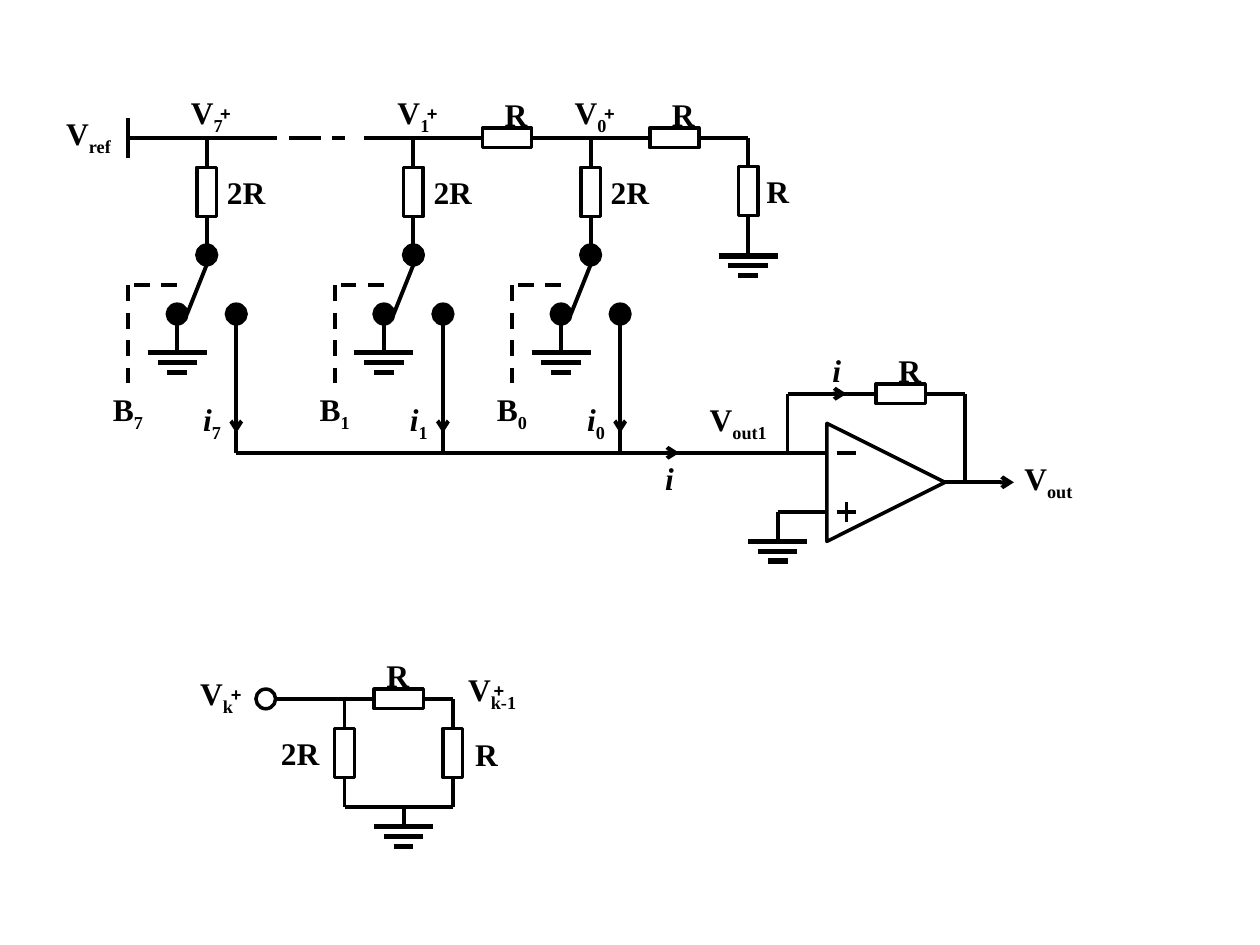
from pptx import Presentation
from pptx.dml.color import RGBColor
from pptx.enum.dml import MSO_LINE
from pptx.enum.shapes import MSO_CONNECTOR, MSO_SHAPE
from pptx.enum.text import MSO_AUTO_SIZE, PP_ALIGN
from pptx.oxml.ns import qn
from pptx.util import Pt
from lxml import etree

STRAIGHT = MSO_CONNECTOR.STRAIGHT
RECTANGLE, OVAL, TRIANGLE = MSO_SHAPE.RECTANGLE, MSO_SHAPE.OVAL, MSO_SHAPE.ISOSCELES_TRIANGLE
DASH, LONG_DASH = MSO_LINE.DASH, MSO_LINE.LONG_DASH

THEME = {
    "ink": RGBColor(0, 0, 0), "paper": RGBColor(255, 255, 255),
    "serif": "Times New Roman", "sans": "Arial", "size": Pt(18),
    "wire": Pt(2.25), "bar": Pt(3), "outline": Pt(2),
}

# All places below are in grid steps; the slide is 128 steps wide.
GRID = 720 / 128
TEXT_HEIGHT = 5.12
PLUS_HEIGHT = 3.84

# Ladder branches: (x, bit)
BRANCHES = [(21, "7"), (42, "1"), (60, "0")]

# Wires: (x1, y1, x2, y2)
WIRES = [
    (13, 14, 25, 14), (37, 14, 76, 14), (13, 12, 13, 16), (76, 14, 76, 26),   # reference rail
    (24, 46, 88, 46), (95, 49, 98, 49),                                       # summing line, output
    (79, 52, 86, 52), (79, 52, 79, 55),                                       # grounded input
    (80, 46, 80, 40), (80, 40, 98, 40), (98, 40, 98, 49),                     # feedback
    (28, 71, 46, 71), (46, 71, 46, 82), (35, 71, 35, 82),                     # equivalent circuit
    (35, 82, 46, 82), (41, 82, 41, 84),
]
DASHED_RAIL = (25, 14, 35, 14)
ARROWS = [(95, 49, 103, 49), (65, 46, 69, 46), (82, 40, 86, 40)]
SIGNS = [(85, 46, 87, 46), (85, 52, 87, 52), (86, 51, 86, 53)]
GROUNDS = [(76, 26), (79, 55), (41, 84)]

# Resistors: centre (x, y), lying down or not
RESISTORS = [
    (51.5, 14, True), (68.5, 14, True), (76, 19.4, False), (91.5, 40, True),
    (40.5, 71, True), (46, 76.5, False), (35, 76.5, False),
]

# Labels: (left, top, width, main text, subscript)
LABELS = [
    (50, 9, 4, "R", ""), (67, 9, 4, "R", ""), (75, 16.8, 8, "R", ""), (90, 35, 4, "R", ""),
    (3, 11, 12, "V", "ref"), (69, 40, 12, "V", "out1"), (102, 46, 9, "V", "out"),
    (65, 46, 6, "i", ""), (82, 35, 6, "i", ""),
    (47, 74, 4, "R", ""), (26, 73.9, 9, "2R", ""), (38, 66, 4, "R", ""),
    (16, 67.85, 12, "V", "k"), (44, 67.45, 12, "V", "k-1"),
]
PLUSES = [(18, 68.35, 12), (44.7, 68, 12)]   # left, top, width


def steps(*values):
    return [Pt(value * GRID) for value in values]


def add_line(shapes, ends, width=THEME["wire"], dash=None, arrow=False):
    connector = shapes.add_connector(STRAIGHT, *steps(*ends))
    line = connector.line
    line.color.rgb = THEME["ink"]
    line.width = width
    if dash:
        line.dash_style = dash
    properties = connector._element.spPr
    if arrow:
        etree.SubElement(properties.find(qn("a:ln")), qn("a:tailEnd"), type="arrow")
    etree.SubElement(properties, qn("a:effectLst"))


def add_part(shapes, kind, x, y, width, height, fill="paper", rotation=0):
    """Add an outlined shape centred on x, y."""
    shape = shapes.add_shape(kind, *steps(x - width / 2, y - height / 2, width, height))
    shape.rotation = rotation
    shape.shadow.inherit = False
    shape.fill.solid()
    shape.fill.fore_color.rgb = THEME[fill]
    shape.line.color.rgb = THEME["ink"]
    shape.line.width = THEME["outline"]


def add_resistor(shapes, x, y, lying=False):
    add_part(shapes, RECTANGLE, x, y, 2, 5, rotation=90 if lying else 0)


def add_ground(shapes, x, y):
    for row, half in enumerate((3, 2, 1)):
        add_line(shapes, (x - half, y + row, x + half, y + row), THEME["bar"])


def add_text(shapes, left, top, width, height, runs, font):
    """Add a centred label; runs are (text, baseline shift, italic)."""
    box = shapes.add_textbox(*steps(left, top, width, height))
    frame = box.text_frame
    frame.word_wrap = True
    frame.auto_size = MSO_AUTO_SIZE.SHAPE_TO_FIT_TEXT
    paragraph = frame.paragraphs[0]
    paragraph.alignment = PP_ALIGN.CENTER
    for text, baseline, italic in runs:
        run = paragraph.add_run()
        run.text = text
        run.font.name = THEME[font]
        run.font.size = THEME["size"]
        run.font.bold = True
        run.font.italic = italic
        run.font.color.rgb = THEME["ink"]
        if baseline:
            run._r.get_or_add_rPr().set("baseline", str(baseline * 1000))


def add_label(shapes, left, top, width, text, subscript=""):
    runs = [(text, 0, text == "i")]
    if subscript:
        runs.append((subscript, -25, False))
    add_text(shapes, left, top, width, TEXT_HEIGHT, runs, "serif")


def add_plus(shapes, left, top, width):
    add_text(shapes, left, top, width, PLUS_HEIGHT, [("+", 30, False)], "sans")


def add_branch(slide, x, bit):
    shapes = slide.shapes.add_group_shape().shapes
    # Resistor
    add_line(shapes, (x, 14, x, 25))
    add_resistor(shapes, x, 19.5)
    add_label(shapes, x, 17, 8, "2R")
    # Switch
    add_line(shapes, (x + 3, 31.9, x + 3, 46))
    for dot_x, dot_y in ((x, 25.9), (x + 3, 31.9), (x - 3, 31.9)):
        add_part(shapes, OVAL, dot_x, dot_y, 2, 2, "ink")
    add_line(shapes, (x, 26.9, x - 2, 31.9))
    add_line(shapes, (x - 3, 32.9, x - 3, 35.85))
    add_ground(shapes, x - 3, 35.85)
    # Control bit
    add_line(shapes, (x - 3, 29, x - 8, 29), dash=DASH)
    add_line(shapes, (x - 8, 29, x - 8, 40), dash=DASH)
    add_label(shapes, x - 14, 39, 12, "B", bit)
    # Node voltage and branch current
    add_label(slide.shapes, x - 6, 8.85, 12, "V", bit)
    add_plus(slide.shapes, x - 4.1, 9.35, 12)
    add_line(slide.shapes, (x + 3, 40, x + 3, 44), arrow=True)
    add_label(slide.shapes, x - 2.45, 40, 6, "i", bit)


def main():
    presentation = Presentation()
    presentation.slide_width, presentation.slide_height = Pt(720), Pt(540)
    slide = presentation.slides.add_slide(presentation.slide_layouts[6])
    shapes = slide.shapes

    # Wiring
    for ends in WIRES:
        add_line(shapes, ends)
    add_line(shapes, DASHED_RAIL, dash=LONG_DASH)
    for ends in ARROWS:
        add_line(shapes, ends, arrow=True)
    for x, y in GROUNDS:
        add_ground(shapes, x, y)

    # Ladder
    for x, bit in BRANCHES:
        add_branch(slide, x, bit)

    # Amplifier, resistors and input terminal
    add_part(shapes, TRIANGLE, 90, 49, 12, 12, rotation=90)
    for ends in SIGNS:
        add_line(shapes, ends)
    for x, y, lying in RESISTORS:
        add_resistor(shapes, x, y, lying)
    add_part(shapes, OVAL, 27, 71, 2, 2)

    # Labels
    for label in LABELS:
        add_label(shapes, *label)
    for plus in PLUSES:
        add_plus(shapes, *plus)

    presentation.save("out.pptx")


if __name__ == "__main__":
    main()
